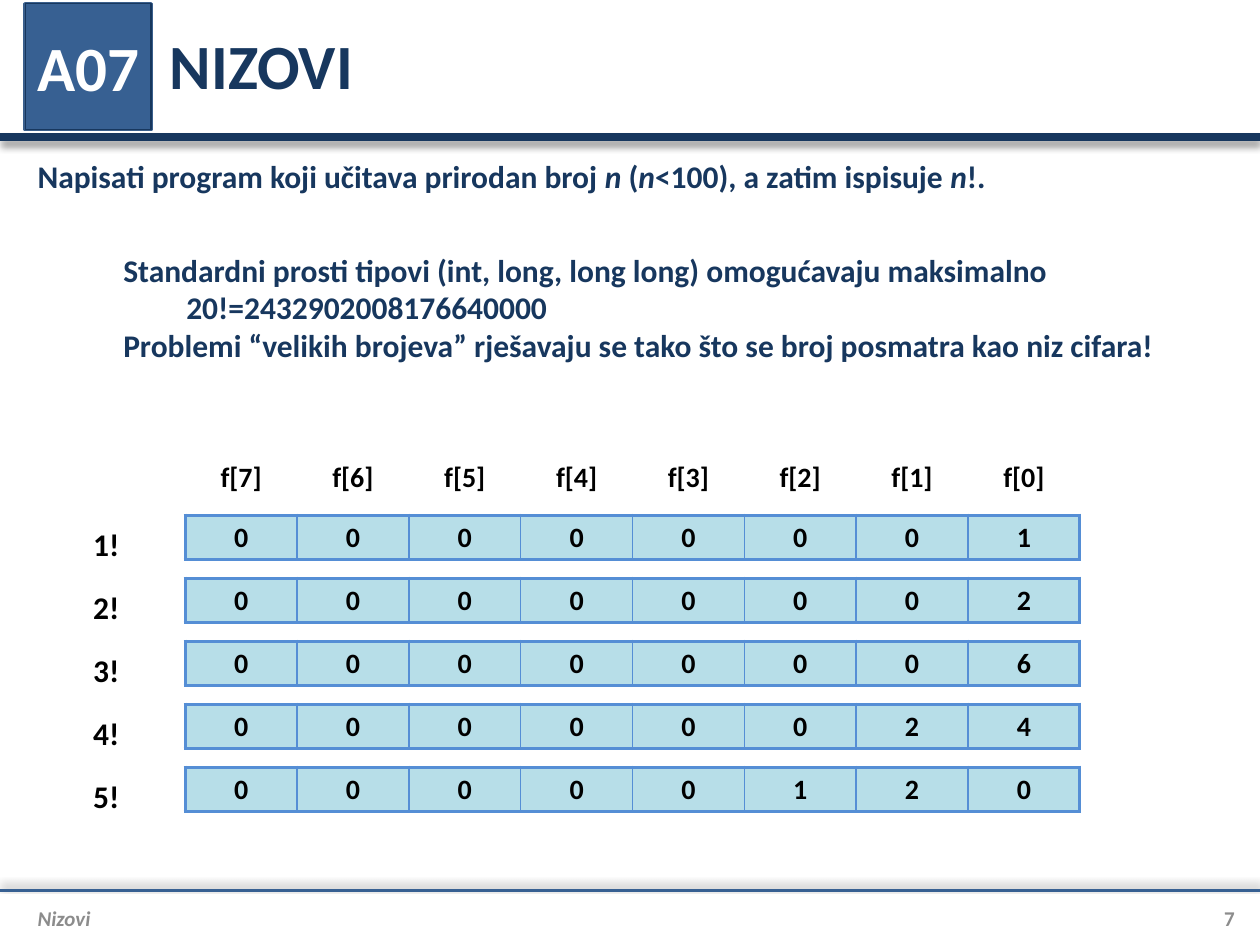
from dataclasses import dataclass

from lxml.etree import SubElement
from pptx import Presentation
from pptx.dml.color import RGBColor
from pptx.enum.shapes import MSO_CONNECTOR as Connector, MSO_SHAPE as Preset
from pptx.enum.text import MSO_ANCHOR as Anchor, PP_ALIGN as Align
from pptx.oxml.ns import qn
from pptx.util import Inches, Pt

COLORS = {
    "navy": "17375E", "blue": "376092", "badge back": "4F81BD", "badge edge": "3A5F8C",
    "white": "FFFFFF", "gray": "8C8C8C", "black": "000000",
    "cell": "B7DEE8", "border": "558ED5",
}
TABLE_LEFT, COLUMN_WIDTH, ROW_HEIGHT = 1.47, 0.8875, 0.35
FIRST_ROW_TOP, ROW_PITCH = 4.09, 0.5
DIGIT_ROWS = ["00000001", "00000002", "00000006", "00000024", "00000120"]


@dataclass
class Rule:
    y: float
    color: str
    weight: float
    shadow_degrees: int


@dataclass
class Badge:
    fill: str
    edge: str
    weight: float


@dataclass
class Label:
    box: tuple[float, float, float, float]
    paragraphs: list[list[str]]
    size: int
    color: str
    italic_runs: tuple[str, ...] = ()
    anchor: Anchor = Anchor.TOP
    align: Align = Align.LEFT
    margins: tuple[float, float, float, float] = (0.1, 0.05, 0.1, 0.05)
    wrap: bool = True
    line_spacing: int | None = None


RULES = [Rule(1.09, "navy", 4.5, 90), Rule(7.07, "blue", 1.5, 270)]
BADGES = [Badge("badge back", "badge edge", 2), Badge("blue", "navy", 0.75)]
LABELS = [
    Label((1.25, 0.01, 8.55, 1), [["NIZOVI"]], 36, "navy", anchor=Anchor.MIDDLE),
    Label((0.2, 7.11, 9.1, 0.35), [["Nizovi"]], 12, "gray", ("Nizovi",),
          Anchor.MIDDLE, margins=(0.1, 0, 0, 0)),
    Label((9.3, 7.11, 0.5, 0.35), [["7"]], 12, "gray", (),
          Anchor.MIDDLE, Align.RIGHT, (0, 0, 0, 0)),
    Label((0.2, 1.2, 9.05, 0.4),
          [["Napisati program koji učitava prirodan broj ", "n", " (", "n",
            "<100), a zatim ispisuje ", "n", "!."]], 18, "navy", ("n",)),
    Label((0.88, 1.94, 8.92, 1.01),
          [["Standardni prosti tipovi (int, long, long long) omogućavaju maksimalno"],
           ["\t20!=2432902008176640000"],
           ["Problemi “velikih brojeva” rješavaju se tako što se broj posmatra kao niz cifara!"]],
          18, "navy"),
    Label((0.64, 3.92, 0.41, 2.57), [[f"{number}!"] for number in range(1, 6)],
          18, "black", wrap=False, line_spacing=36),
]


def rgb(name: str) -> RGBColor:
    """Return the named colour."""
    return RGBColor.from_string(COLORS[name])


def style_font(font, size: int, color: str) -> None:
    """Apply the bold slide font."""
    font.name, font.size, font.bold = "Calibri", Pt(size), True
    font.color.rgb = rgb(color)


def draw_rule(slide, rule: Rule) -> None:
    """Draw a full-width line with a soft shadow."""
    y = Inches(rule.y)
    line = slide.shapes.add_connector(Connector.STRAIGHT, 0, y, Inches(10), y)
    line.line.color.rgb = rgb(rule.color)
    line.line.width = Pt(rule.weight)
    effects = SubElement(line._element.spPr, qn("a:effectLst"))
    shadow = SubElement(effects, qn("a:outerShdw"), blurRad=str(Pt(4)), dist=str(Pt(3)),
                        dir=str(rule.shadow_degrees * 60000), rotWithShape="0")
    color = SubElement(shadow, qn("a:srgbClr"), val=COLORS["black"])
    SubElement(color, qn("a:alpha"), val="40000")


def draw_badge(slide, badge: Badge):
    """Draw one square of the lesson badge."""
    shape = slide.shapes.add_shape(
        Preset.RECTANGLE, Inches(0.2), Inches(0.03), Inches(1), Inches(1))
    shape.shadow.inherit = False
    shape.fill.solid()
    shape.fill.fore_color.rgb = rgb(badge.fill)
    shape.line.color.rgb = rgb(badge.edge)
    shape.line.width = Pt(badge.weight)
    return shape


def write_badge(shape, text: str) -> None:
    """Write the lesson code on the badge."""
    frame = shape.text_frame
    frame.margin_left = frame.margin_right = frame.margin_top = frame.margin_bottom = 0
    frame.vertical_anchor = Anchor.MIDDLE
    paragraph = frame.paragraphs[0]
    paragraph.text, paragraph.alignment = text, Align.CENTER
    paragraph.space_before = Pt(7.2)
    style_font(paragraph.font, 36, "white")


def draw_label(slide, label: Label) -> None:
    """Draw a text box."""
    frame = slide.shapes.add_textbox(*map(Inches, label.box)).text_frame
    frame.word_wrap = label.wrap
    frame.vertical_anchor = label.anchor
    (frame.margin_left, frame.margin_top,
     frame.margin_right, frame.margin_bottom) = map(Inches, label.margins)
    for index, texts in enumerate(label.paragraphs):
        paragraph = frame.add_paragraph() if index else frame.paragraphs[0]
        paragraph.alignment = label.align
        if label.line_spacing:
            paragraph.line_spacing = Pt(label.line_spacing)
        style_font(paragraph.font, label.size, label.color)
        for text in texts:
            run = paragraph.add_run()
            run.text = text
            if text in label.italic_runs:
                run.font.italic = True


def draw_borders(cell, first: bool, last: bool) -> None:
    """Give a cell thick outer and thin inner borders."""
    weights = {"L": 2.25 if first else 1, "R": 2.25 if last else 1, "T": 2.25, "B": 2.25}
    properties = cell._tc.get_or_add_tcPr()
    for side, weight in weights.items():
        line = SubElement(properties, qn(f"a:ln{side}"), w=str(Pt(weight)))
        fill = SubElement(line, qn("a:solidFill"))
        SubElement(fill, qn("a:srgbClr"), val=COLORS["border"])


def draw_array(slide, top: float, values: list[str], boxed: bool) -> None:
    """Draw a one-row table of array cells."""
    count = len(values)
    table = slide.shapes.add_table(
        1, count, Inches(TABLE_LEFT), Inches(top),
        Inches(COLUMN_WIDTH * count), Inches(ROW_HEIGHT)).table
    table.first_row = table.horz_banding = False
    for index, value in enumerate(values):
        cell = table.cell(0, index)
        cell.margin_left = cell.margin_right = cell.margin_top = cell.margin_bottom = 0
        cell.vertical_anchor = Anchor.MIDDLE
        paragraph = cell.text_frame.paragraphs[0]
        paragraph.text, paragraph.alignment = value, Align.CENTER
        style_font(paragraph.font, 16, "black")
        if boxed:
            draw_borders(cell, index == 0, index == count - 1)
            cell.fill.solid()
            cell.fill.fore_color.rgb = rgb("cell")
        else:
            cell.fill.background()


def main() -> None:
    """Build the slide and save it."""
    presentation = Presentation()
    presentation.slide_width, presentation.slide_height = Inches(10), Inches(7.5)
    slide = presentation.slides.add_slide(presentation.slide_layouts[6])
    for rule in RULES:
        draw_rule(slide, rule)
    badges = [draw_badge(slide, badge) for badge in BADGES]
    write_badge(badges[-1], "A07")
    for label in LABELS:
        draw_label(slide, label)
    draw_array(slide, 3.62, [f"f[{index}]" for index in reversed(range(8))], False)
    for row, digits in enumerate(DIGIT_ROWS):
        draw_array(slide, FIRST_ROW_TOP + row * ROW_PITCH, list(digits), True)
    presentation.save("out.pptx")


if __name__ == "__main__":
    main()
